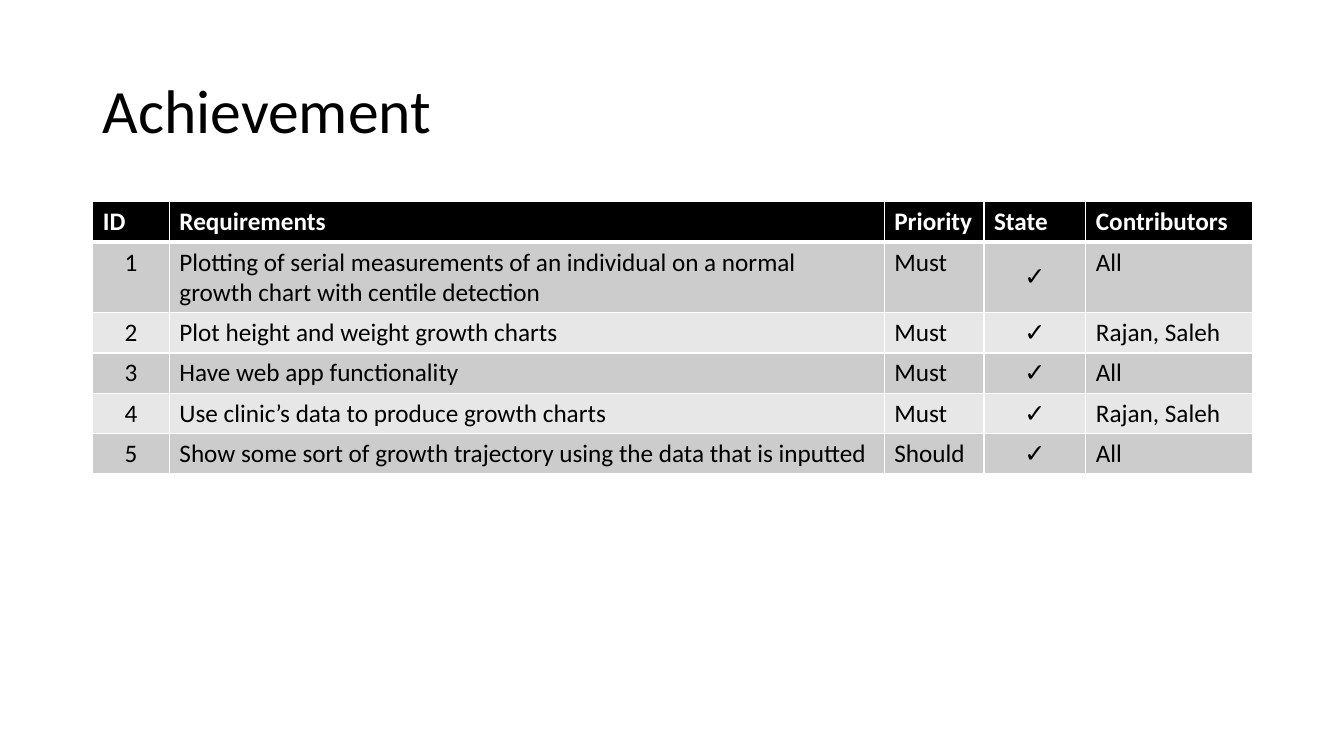
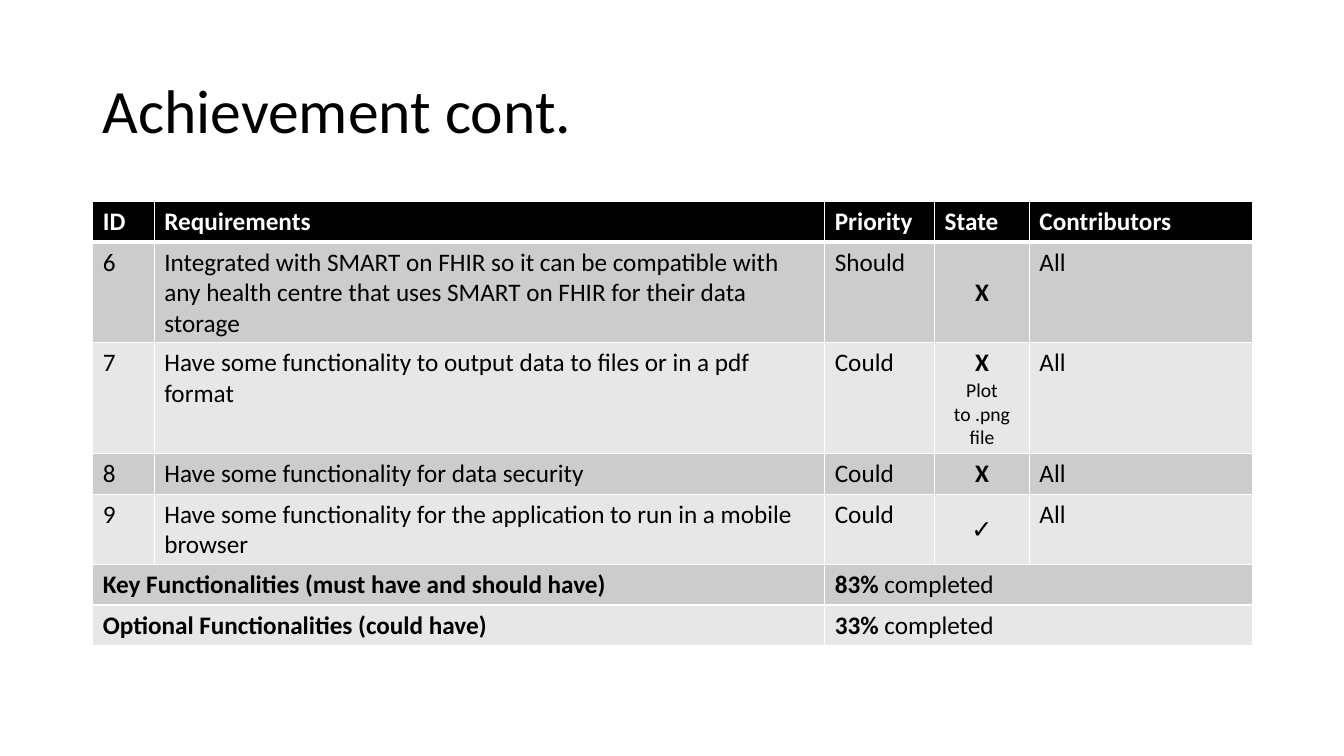
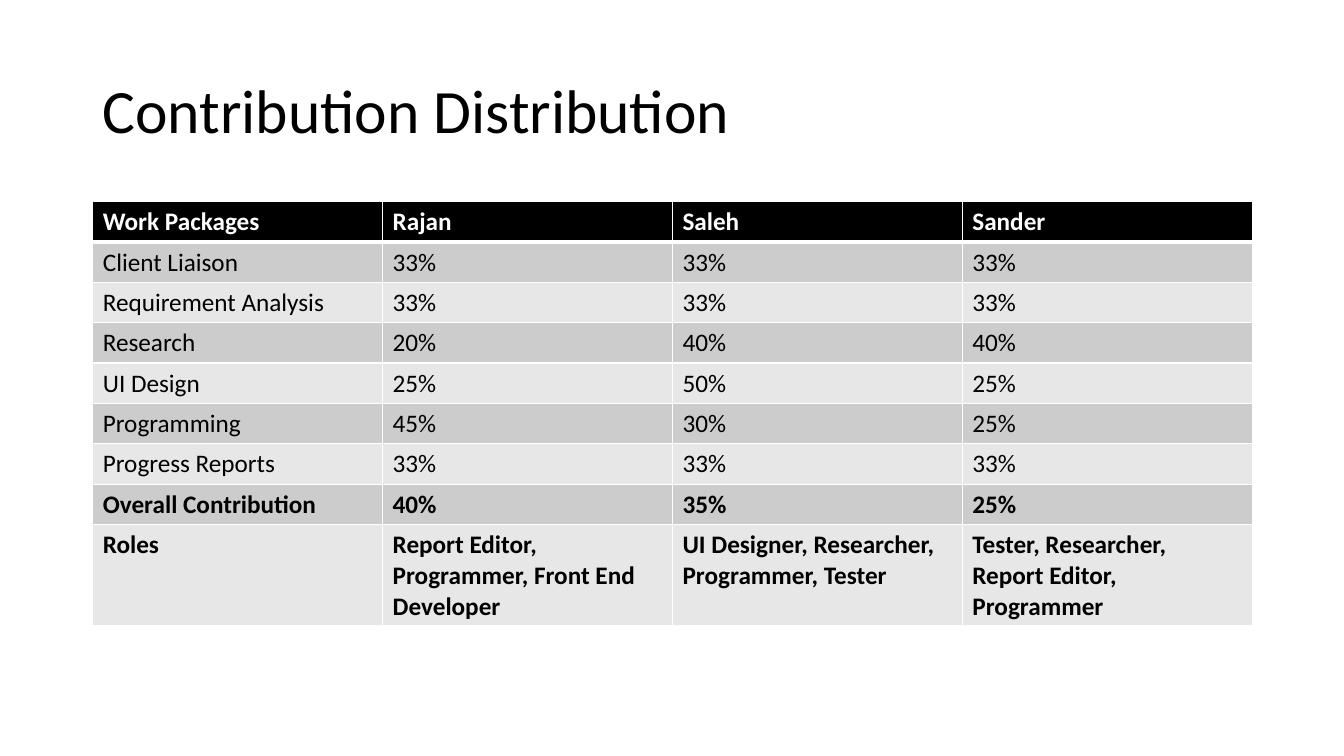
from lxml.etree import SubElement
from pptx import Presentation
from pptx.dml.color import RGBColor
from pptx.enum.text import MSO_ANCHOR, PP_ALIGN
from pptx.oxml.ns import qn
from pptx.util import Inches, Pt

FONT = "Calibri"
COLORS = {"ink": "000000", "paper": "FFFFFF", "odd": "CCCCCC", "even": "E7E7E7"}
LEFT, WIDTH = 0.92, 11.5
HEADS = ["ID", "Requirements", "Priority", "State", "Contributors"]
STATE = HEADS.index("State")
DONE, OPEN = "✓", "X"

GOALS = [
    ["1", "Plotting of serial measurements of an individual on a normal "
          "growth chart with centile detection", "Must", DONE, "All"],
    ["2", "Plot height and weight growth charts", "Must", DONE, "Rajan, Saleh"],
    ["3", "Have web app functionality", "Must", DONE, "All"],
    ["4", "Use clinic’s data to produce growth charts", "Must", DONE, "Rajan, Saleh"],
    ["5", "Show some sort of growth trajectory using the data that is inputted",
     "Should", DONE, "All"],
]
MORE_GOALS = [
    ["6", "Integrated with SMART on FHIR so it can be compatible with any health "
          "centre that uses SMART on FHIR for their data storage",
     "Should", OPEN, "All"],
    ["7", "Have some functionality to output data to files or in a pdf format",
     "Could", OPEN + "\nPlot to .png file", "All"],
    ["8", "Have some functionality for data security", "Could", OPEN, "All"],
    ["9", "Have some functionality for the application to run in a mobile browser",
     "Could", DONE, "All"],
]
TOTALS = [
    ("Key Functionalities (must have and should have)", "83%"),
    ("Optional Functionalities (could have)", "33%"),
]
SHARES = [
    ["Client Liaison", "33%", "33%", "33%"],
    ["Requirement Analysis", "33%", "33%", "33%"],
    ["Research", "20%", "40%", "40%"],
    ["UI Design", "25%", "50%", "25%"],
    ["Programming", "45%", "30%", "25%"],
    ["Progress Reports", "33%", "33%", "33%"],
]
SUMMARY = [
    ["Overall Contribution", "40%", "35%", "25%"],
    ["Roles", "Report Editor, Programmer, Front End Developer",
     "UI Designer, Researcher, Programmer, Tester",
     "Tester, Researcher, Report Editor, Programmer"],
]


def style(run, size=18, color="ink", bold=False):
    """Set the font of one run."""
    font = run.font
    font.name, font.size, font.bold = FONT, Pt(size), bold
    font.color.rgb = RGBColor.from_string(COLORS[color])


def add_page(deck, title):
    """Add a blank slide with the shared title."""
    slide = deck.slides.add_slide(deck.slide_layouts[6])
    box = slide.shapes.add_textbox(Inches(LEFT), Inches(0.4), Inches(WIDTH), Inches(1.45))
    frame = box.text_frame
    frame.word_wrap = True
    frame.vertical_anchor = MSO_ANCHOR.MIDDLE
    frame.text = title
    line = frame.paragraphs[0]
    line.line_spacing = 0.9
    style(line.runs[0], 44)
    return slide


def set_edges(cell, top, base):
    """Draw the white edges of a cell; top and base are widths in points."""
    props = cell._tc.get_or_add_tcPr()
    for tag, width in (("lnL", 1), ("lnR", 1), ("lnT", top), ("lnB", base)):
        edge = SubElement(props, qn(f"a:{tag}"), w=str(Pt(width)))
        fill = SubElement(edge, qn("a:solidFill"))
        SubElement(fill, qn("a:srgbClr"), val=COLORS["paper"])


def write(cell, text, color="ink", bold=False):
    """Put styled text in a cell."""
    cell.text_frame.text = text
    for line in cell.text_frame.paragraphs:
        style(line.runs[0], color=color, bold=bold)


def add_grid(slide, widths, heads, rows, spare=0):
    """Add a banded table, with spare empty rows at its foot."""
    count = 1 + len(rows) + spare
    table = slide.shapes.add_table(count, len(widths), Inches(LEFT), Inches(2),
                                   Inches(WIDTH), Inches(0.4 * count)).table
    for column, width in zip(table.columns, widths):
        column.width = Inches(width)
    for index, row in enumerate(table.rows):
        shade = "ink" if index == 0 else "odd" if index % 2 else "even"
        for cell in row.cells:
            set_edges(cell, 3 if index == 1 else 1, 3 if index == 0 else 1)
            cell.fill.solid()
            cell.fill.fore_color.rgb = RGBColor.from_string(COLORS[shade])
    for col, head in enumerate(heads):
        write(table.cell(0, col), head, "paper", True)
    for index, texts in enumerate(rows, 1):
        for col, text in enumerate(texts):
            write(table.cell(index, col), text)
    return table


def mark_states(table, count):
    """Centre the state marks in bold, with any note below in small type."""
    for index in range(1, count + 1):
        cell = table.cell(index, STATE)
        cell.vertical_anchor = MSO_ANCHOR.MIDDLE
        mark, *notes = cell.text_frame.paragraphs
        style(mark.runs[0], bold=True)
        for note in notes:
            style(note.runs[0], 14)
        for line in (mark, *notes):
            line.alignment = PP_ALIGN.CENTER


def add_total(table, index, label, share):
    """Fill a row of two merged cells with a label and its share."""
    last = len(table.columns) - 1
    table.cell(index, 0).merge(table.cell(index, 1))
    table.cell(index, 2).merge(table.cell(index, last))
    write(table.cell(index, 0), label, bold=True)
    cell = table.cell(index, 2)
    write(cell, share, bold=True)
    rest = cell.text_frame.paragraphs[0].add_run()
    rest.text = " completed"
    style(rest)


def main():
    """Build the three slides and save them."""
    deck = Presentation()
    deck.slide_width, deck.slide_height = Inches(13.33), Inches(7.5)

    page = add_page(deck, "Achievement")
    table = add_grid(page, [0.76, 7.09, 0.99, 1.01, 1.65], HEADS, GOALS)
    mark_states(table, len(GOALS))
    for index in range(1, len(GOALS) + 1):
        table.cell(index, 0).text_frame.paragraphs[0].alignment = PP_ALIGN.CENTER

    page = add_page(deck, "Achievement cont.")
    table = add_grid(page, [0.61, 6.65, 1.09, 0.94, 2.21], HEADS, MORE_GOALS, len(TOTALS))
    mark_states(table, len(MORE_GOALS))
    for index, (label, share) in enumerate(TOTALS, len(MORE_GOALS) + 1):
        add_total(table, index, label, share)

    page = add_page(deck, "Contribution Distribution")
    heads = ["Work Packages", "Rajan", "Saleh", "Sander"]
    table = add_grid(page, [WIDTH / len(heads)] * len(heads), heads, SHARES, len(SUMMARY))
    for index, texts in enumerate(SUMMARY, len(SHARES) + 1):
        for col, text in enumerate(texts):
            write(table.cell(index, col), text, bold=True)

    deck.save("out.pptx")


main()
